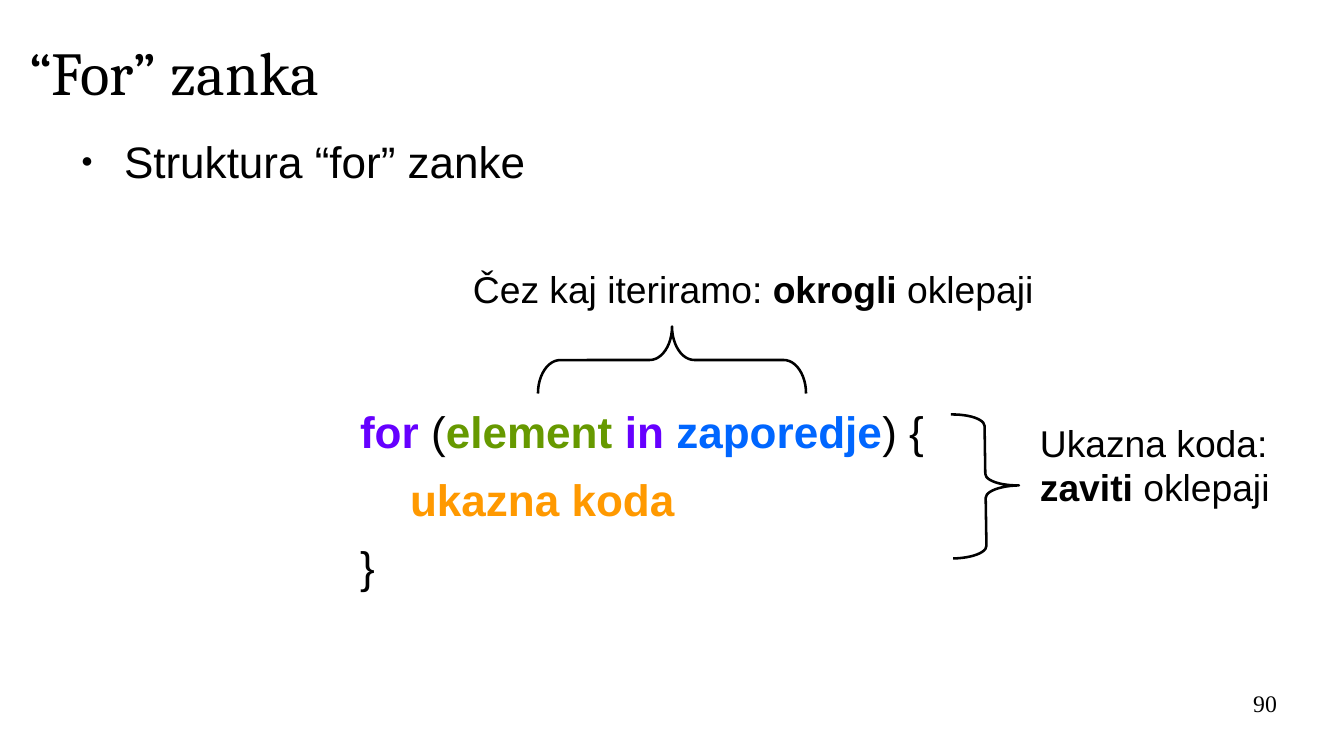
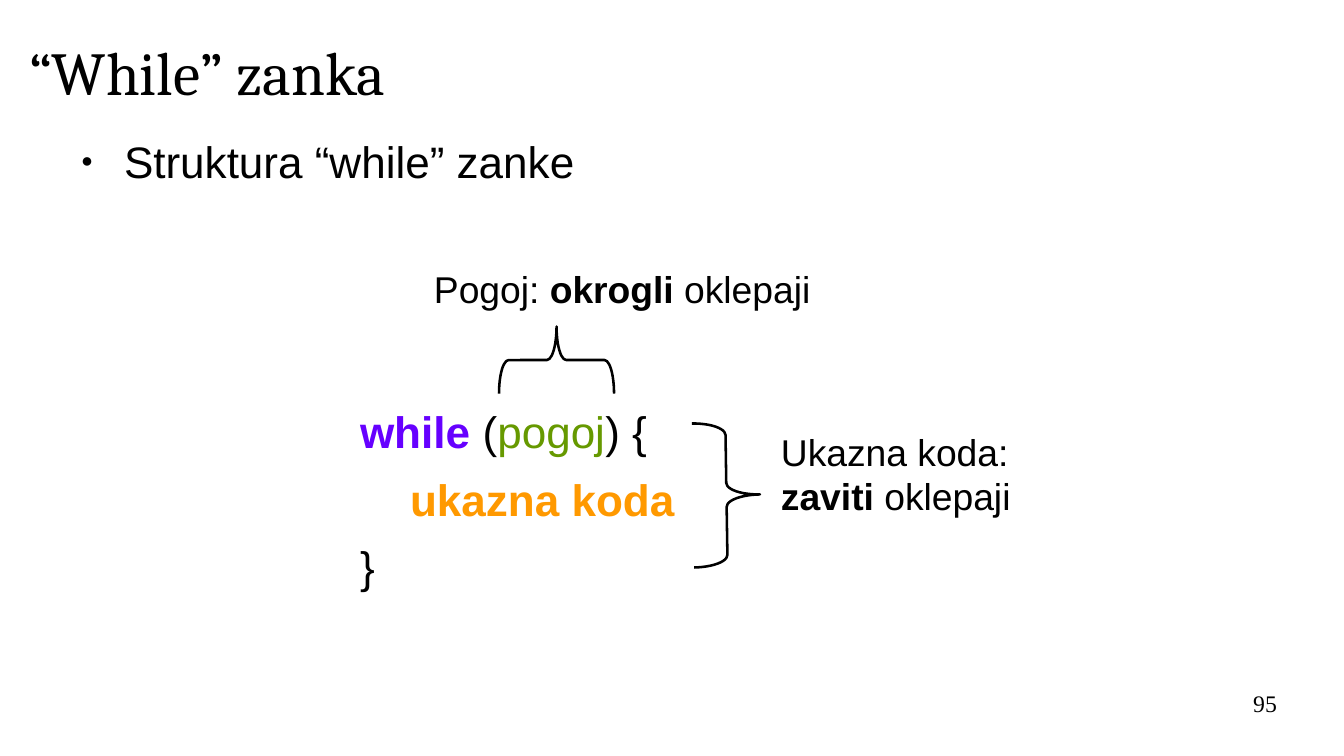
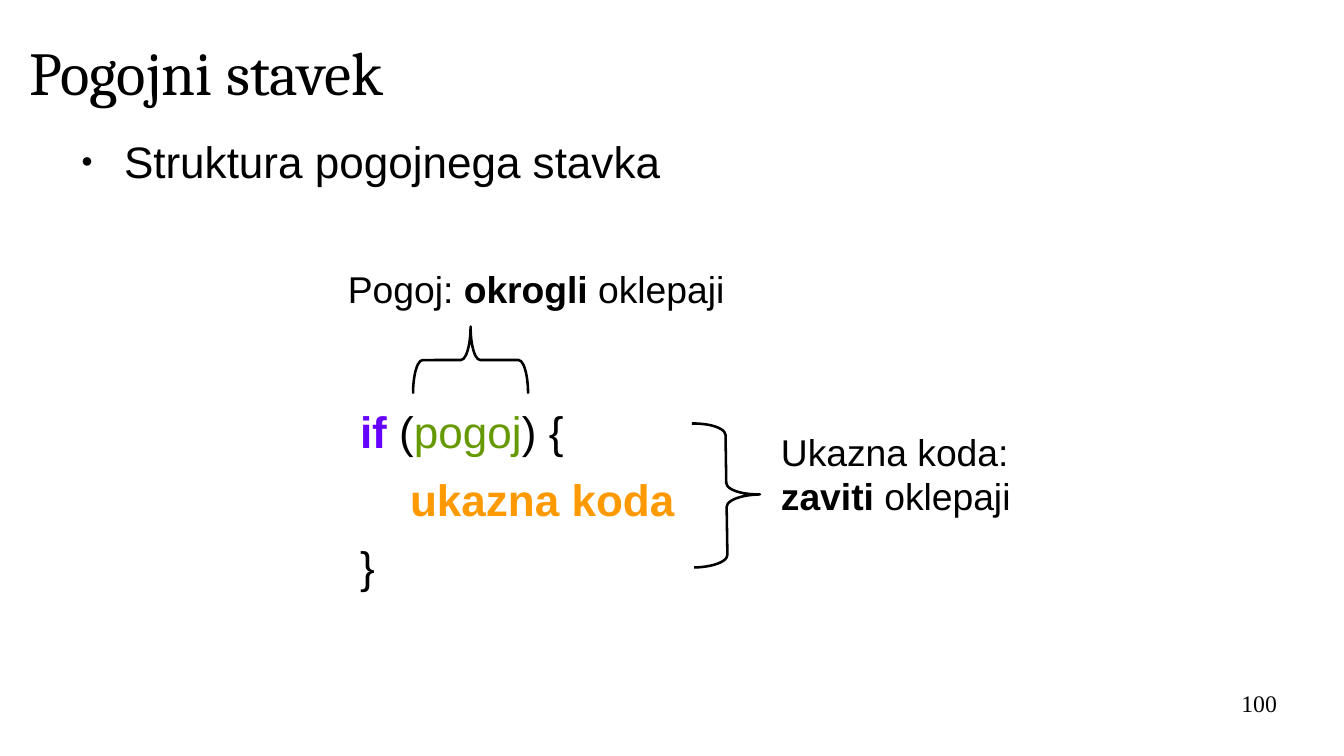
from pptx import Presentation
from pptx.dml.color import RGBColor
from pptx.enum.shapes import MSO_SHAPE
from pptx.enum.text import MSO_ANCHOR, MSO_AUTO_SIZE, PP_ALIGN
from pptx.oxml.ns import qn
from pptx.util import Pt
from lxml import etree

EMU_PER_PX = 7495
LEFT, RIGHT = PP_ALIGN.LEFT, PP_ALIGN.RIGHT
TOP, MIDDLE = MSO_ANCHOR.TOP, MSO_ANCHOR.MIDDLE
NO_AUTOFIT = MSO_AUTO_SIZE.NONE
LEFT_BRACE, RIGHT_BRACE = MSO_SHAPE.LEFT_BRACE, MSO_SHAPE.RIGHT_BRACE

COLORS = {
    "text": "000000",
    "keyword": "6600FF",
    "condition": "669900",
    "sequence": "0066FF",
    "command": "FF9900",
}
BRACE_DEPTH = 67
CODE_INDENT = 293
COMMAND_INDENT = 343
LINE_FACTOR = 1.2

CODE_END = [
    (COMMAND_INDENT, [("ukazna koda", "command", True)]),
    (CODE_INDENT, [("}", "text", False)]),
]
CONDITION_CODE = [("(", "text", False), ("pogoj", "condition", False), (") {", "text", False)]
COMMAND_LABEL = [
    [("Ukazna koda:", "text", False)],
    [("zaviti", "text", True), (" oklepaji", "text", False)],
]

SLIDES = [
    dict(
        title="“For” zanka",
        bullet="Struktura “for” zanke",
        code=[
            ("for ", "keyword", True),
            ("(", "text", False),
            ("element ", "condition", True),
            ("in ", "keyword", True),
            ("zaporedje", "sequence", True),
            (") {", "text", False),
        ],
        topic="Čez kaj iteriramo: ",
        top_brace=(538, 268),
        side_brace=(952, 414),
        number="90",
    ),
    dict(
        title="“While” zanka",
        bullet="Struktura “while” zanke",
        code=[("while ", "keyword", True)] + CONDITION_CODE,
        topic="Pogoj: ",
        top_brace=(499, 115),
        side_brace=(693, 423),
        number="95",
    ),
    dict(
        title="Pogojni stavek",
        bullet="Struktura pogojnega stavka",
        code=[("if ", "keyword", True)] + CONDITION_CODE,
        topic="Pogoj: ",
        top_brace=(413, 115),
        side_brace=(693, 423),
        number="100",
    ),
]


def px(value):
    return round(value * EMU_PER_PX)


def place(shape, left, top, width, height):
    shape.left, shape.top = px(left), px(top)
    shape.width, shape.height = px(width), px(height)


def prepare_frame(shape, inset_x=0, inset_y=0, anchor=TOP):
    frame = shape.text_frame
    frame.word_wrap = True
    frame.auto_size = NO_AUTOFIT
    frame.vertical_anchor = anchor
    frame.margin_left = frame.margin_right = px(inset_x)
    frame.margin_top = frame.margin_bottom = px(inset_y)
    return frame


def write_paragraph(frame, spans, size, font="Arial", align=LEFT, before=0, spacing=None):
    para = frame.paragraphs[0]
    if para.runs:
        para = frame.add_paragraph()
    para.alignment = align
    para.space_before = Pt(before)
    if spacing:
        para.line_spacing = Pt(spacing)
    for text, color, bold in spans:
        span = para.add_run()
        span.text = text
        span.font.name = font
        span.font.size = Pt(size)
        span.font.bold = bold
        span.font.color.rgb = RGBColor.from_string(COLORS[color])
    return para


def set_indent(para, margin, first=0, bullet=None):
    properties = para._p.get_or_add_pPr()
    properties.set("marL", str(px(margin)))
    properties.set("indent", str(px(first)))
    if not bullet:
        etree.SubElement(properties, qn("a:buNone"))
        return
    color = etree.SubElement(properties, qn("a:buClr"))
    etree.SubElement(color, qn("a:srgbClr"), val=COLORS["text"])
    etree.SubElement(properties, qn("a:buSzPct"), val="45000")
    etree.SubElement(properties, qn("a:buFont"), typeface="Arial")
    etree.SubElement(properties, qn("a:buChar"), char=bullet)


def add_title(page, text):
    title = page.shapes.title
    place(title, 29, 18, 1210, 107)
    frame = prepare_frame(title, anchor=MIDDLE)
    write_paragraph(frame, [(text, "text", False)], 36, font="Cambria")


def add_body(page, bullet, code):
    body = page.placeholders[1]
    place(body, 67, 134, 1268, 538)
    frame = prepare_frame(body)
    size, gap = 26, 8.7
    spacing = size * LINE_FACTOR
    para = write_paragraph(frame, [(bullet, "text", False)], size, spacing=spacing)
    set_indent(para, 57, -43, "●")
    before = 3 * (spacing + gap) + gap
    for indent, spans in [(CODE_INDENT, code)] + CODE_END:
        para = write_paragraph(frame, spans, size, before=before, spacing=spacing)
        set_indent(para, indent)
        before = gap


def add_label(page, lines, left, top, width, height):
    box = page.shapes.add_textbox(px(left), px(top), px(width), px(height))
    frame = prepare_frame(box, 12, 6)
    for spans in lines:
        write_paragraph(frame, spans, 22, spacing=22 * LINE_FACTOR)


def add_brace(page, kind, center_x, center_y, length, rotation):
    brace = page.shapes.add_shape(
        kind,
        px(center_x - BRACE_DEPTH / 2),
        px(center_y - length / 2),
        px(BRACE_DEPTH),
        px(length),
    )
    brace.rotation = rotation
    brace.adjustments[0] = length / 12 / min(length, BRACE_DEPTH)
    brace.shadow.inherit = False
    brace.fill.background()
    brace.line.color.rgb = RGBColor.from_string(COLORS["text"])
    brace.line.width = Pt(1.5)


def add_number(page, text):
    box = page.shapes.add_textbox(px(964), px(689), px(313), px(52))
    frame = prepare_frame(box)
    write_paragraph(frame, [(text, "text", False)], 14, font="Times New Roman", align=RIGHT)


def add_page(deck, title, bullet, code, topic, top_brace, side_brace, number):
    page = deck.slides.add_slide(deck.slide_layouts[1])
    add_title(page, title)
    add_body(page, bullet, code)
    left, length = top_brace
    add_brace(page, LEFT_BRACE, left + length / 2, 360, length, 90)
    topic_line = [(topic, "text", False), ("okrogli", "text", True), (" oklepaji", "text", False)]
    add_label(page, [topic_line], left - 77, 260, 625, 95)
    left, top = side_brace
    add_brace(page, RIGHT_BRACE, left + BRACE_DEPTH / 2, top + 72, 144, 359.1)
    add_label(page, COMMAND_LABEL, left + 76, top, 278, 137)
    add_number(page, number)


def main():
    deck = Presentation()
    deck.slide_width, deck.slide_height = px(1344), px(756)
    for content in SLIDES:
        add_page(deck, **content)
    deck.save("out.pptx")


if __name__ == "__main__":
    main()
